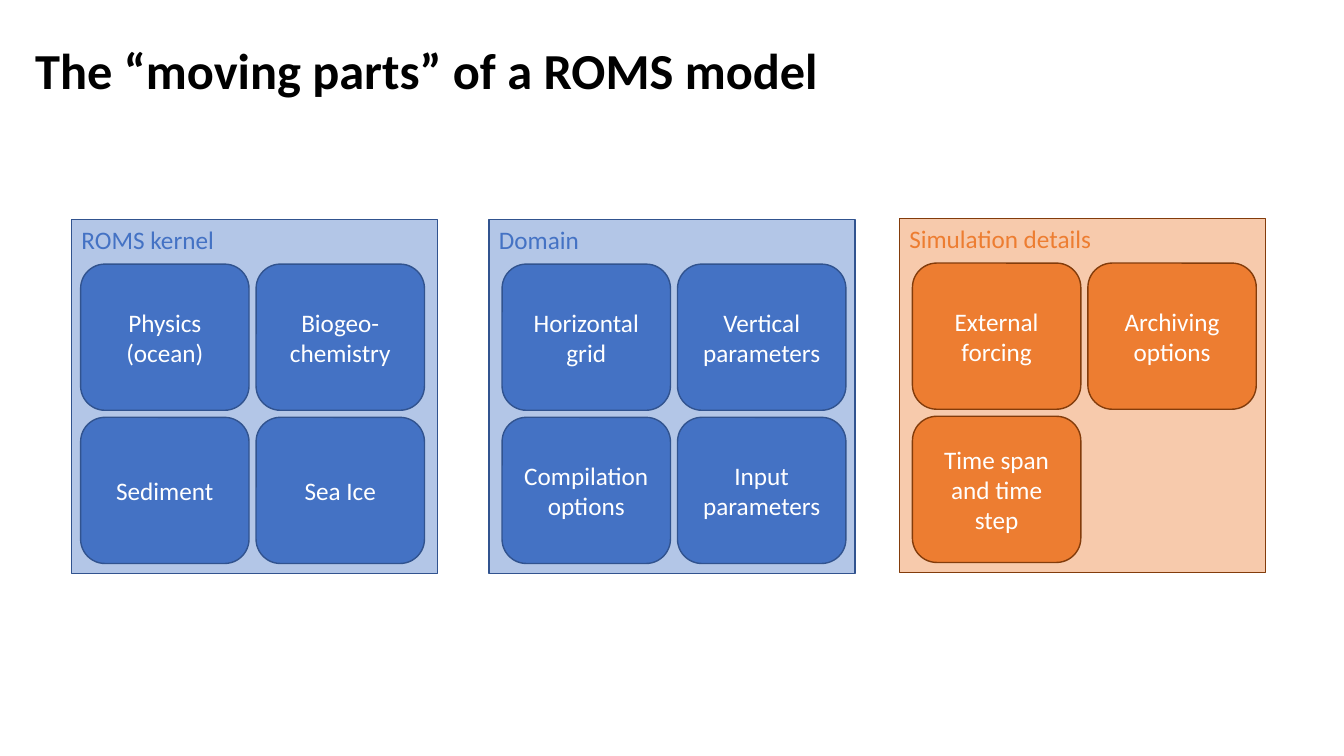
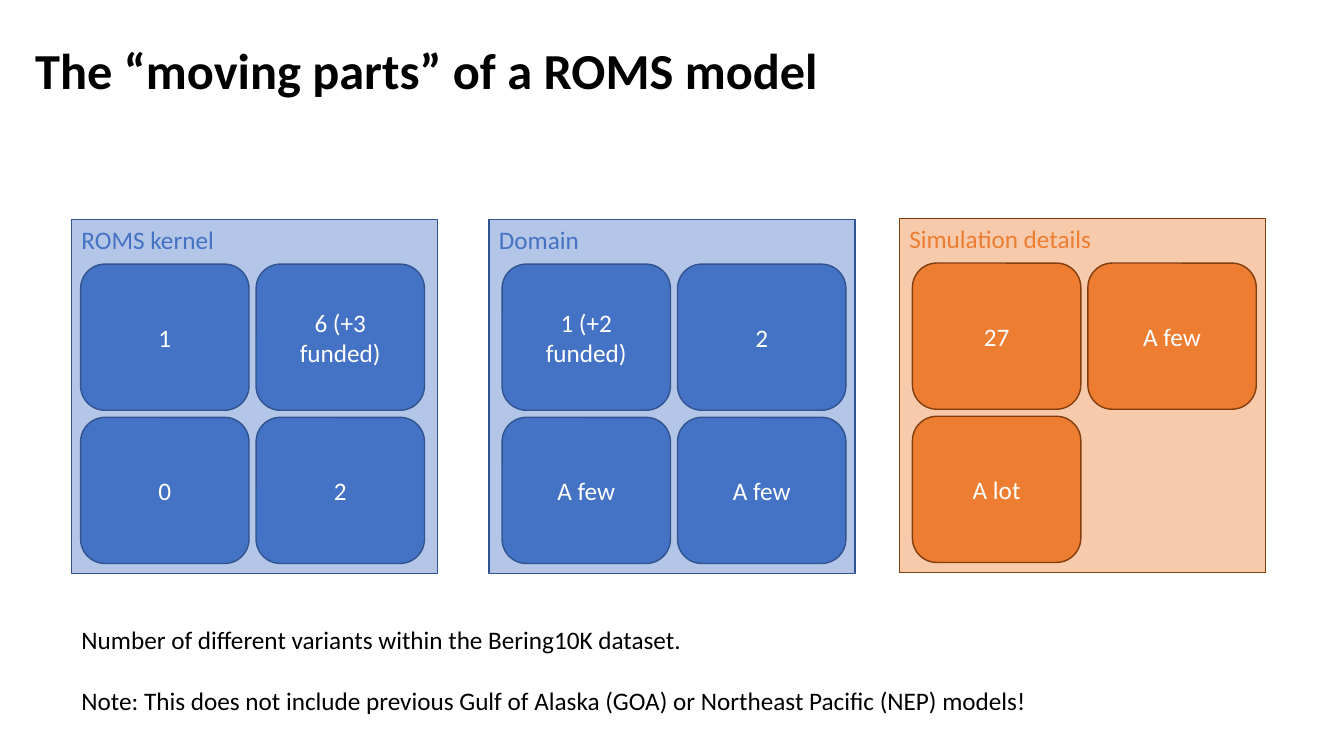
from pptx import Presentation
from pptx.dml.color import RGBColor
from pptx.enum.shapes import MSO_SHAPE as SHAPE
from pptx.enum.text import MSO_ANCHOR as ANCHOR, PP_ALIGN as ALIGN
from pptx.util import Inches, Pt

COLORS = {
    "text": "000000",
    "white": "FFFFFF",
    "blue": "4472C4",
    "blue_pale": "B3C6E7",
    "blue_line": "31538F",
    "orange": "ED7D31",
    "orange_pale": "F7CAAC",
    "orange_line": "833C0B",
}
FONT = "Calibri"
TITLE = "The “moving parts” of a ROMS model"

PANEL_W, PANEL_H = 3.63, 3.51
TILE_W, TILE_H = 1.67, 1.45
TILE_GAP = 0.07
TILE_TOP = 0.44
COLS = 2

PANELS = [
    ("ROMS kernel", "blue", 0.71, 2.18, 0.09),
    ("Domain", "blue", 4.85, 2.18, 0.13),
    ("Simulation details", "orange", 8.92, 2.17, 0.13),
]
PARTS = [
    ["Physics\n(ocean)", "Biogeo-chemistry", "Sediment", "Sea Ice"],
    ["Horizontal grid", "Vertical parameters", "Compilation options", "Input parameters"],
    ["External forcing", "Archiving options", "Time span and time step"],
]
COUNTS = [
    ["1", "6 (+3 funded)", "0", "2"],
    ["1 (+2 funded)", "2", "A few", "A few"],
    ["27", "A few", "A lot"],
]
REMARKS = (
    "Number of different variants within the Bering10K dataset.\n"
    "Note: This does not include previous Gulf of Alaska (GOA) "
    "or Northeast Pacific (NEP) models!"
)


def rgb(name):
    return RGBColor.from_string(COLORS[name])


def write(sp, text, color, size=18, bold=False, align=ALIGN.LEFT, anchor=ANCHOR.TOP):
    tf = sp.text_frame
    tf.word_wrap = True
    tf.vertical_anchor = anchor
    tf.text = text
    for p in tf.paragraphs:
        p.alignment = align
        p.font.name = FONT
        p.font.size = Pt(size)
        p.font.bold = bold
        p.font.color.rgb = rgb(color)
    return tf


def add_box(shapes, kind, x, y, w, h, fill, line):
    sp = shapes.add_shape(kind, Inches(x), Inches(y), Inches(w), Inches(h))
    sp.shadow.inherit = False
    sp.fill.solid()
    sp.fill.fore_color.rgb = rgb(fill)
    sp.line.color.rgb = rgb(line)
    sp.line.width = Pt(1)
    return sp


def add_text(s, text, x, y, w, h, **style):
    sp = s.shapes.add_textbox(Inches(x), Inches(y), Inches(w), Inches(h))
    return write(sp, text, "text", **style)


def add_title(s):
    tf = add_text(s, TITLE, 0, 0, 11.3, 1.45, size=36, bold=True, anchor=ANCHOR.MIDDLE)
    tf.margin_left = Inches(0.35)
    tf.paragraphs[0].line_spacing = 0.9


def add_panel(s, label, hue, x, y, inset, tiles):
    shapes = s.shapes.add_group_shape().shapes
    line = hue + "_line"
    panel = add_box(shapes, SHAPE.RECTANGLE, x, y, PANEL_W, PANEL_H, hue + "_pale", line)
    write(panel, label, hue)
    for i, text in enumerate(tiles):
        row, col = divmod(i, COLS)
        tile_x = x + inset + col * (TILE_W + TILE_GAP)
        tile_y = y + TILE_TOP + row * (TILE_H + TILE_GAP)
        tile = add_box(shapes, SHAPE.ROUNDED_RECTANGLE, tile_x, tile_y,
                       TILE_W, TILE_H, hue, line)
        write(tile, text, "white", align=ALIGN.CENTER, anchor=ANCHOR.MIDDLE)


def add_remarks(s, text):
    tf = add_text(s, text, 0.71, 6.14, 9.77, 1.01)
    for p in tf.paragraphs[1:]:
        p.space_before = Pt(22)


def add_parts_slide(prs, tile_sets, remarks=None):
    s = prs.slides.add_slide(prs.slide_layouts[6])
    add_title(s)
    for panel, tiles in zip(PANELS, tile_sets):
        add_panel(s, *panel, tiles)
    if remarks:
        add_remarks(s, remarks)


def main():
    prs = Presentation()
    prs.slide_width, prs.slide_height = Inches(13.33), Inches(7.5)
    add_parts_slide(prs, PARTS)
    add_parts_slide(prs, COUNTS, REMARKS)
    prs.save("out.pptx")


if __name__ == "__main__":
    main()
